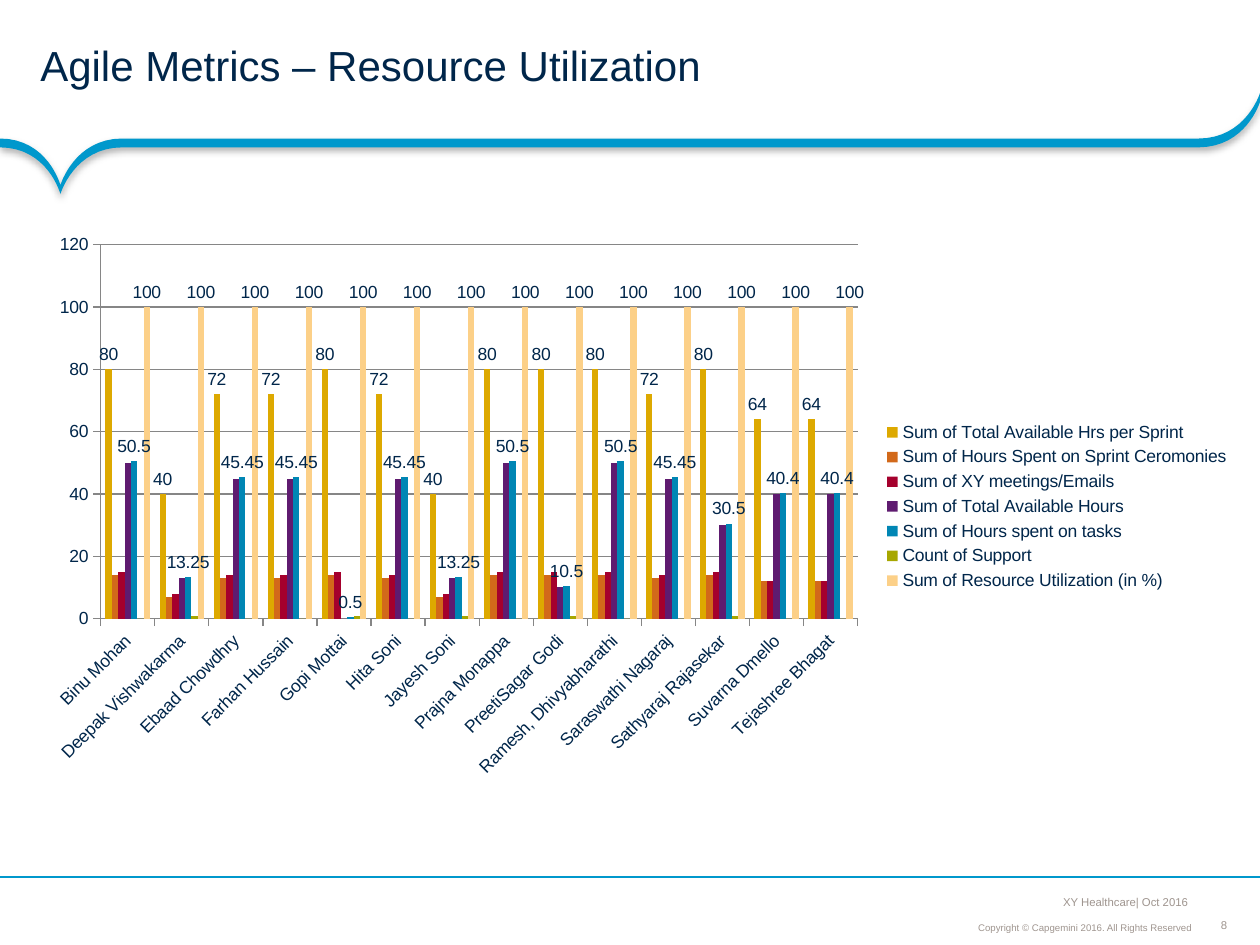
"""Build the Agile Metrics resource utilization slide."""
from lxml import etree
from pptx import Presentation
from pptx.chart.data import CategoryChartData
from pptx.dml.color import RGBColor
from pptx.enum.chart import XL_CHART_TYPE, XL_LABEL_POSITION, XL_LEGEND_POSITION, XL_TICK_MARK
from pptx.enum.shapes import MSO_CONNECTOR
from pptx.enum.text import MSO_ANCHOR, PP_ALIGN
from pptx.oxml import parse_xml
from pptx.oxml.ns import qn
from pptx.util import Inches, Pt

CLUSTERED = XL_CHART_TYPE.COLUMN_CLUSTERED
OUTSIDE_END = XL_LABEL_POSITION.OUTSIDE_END
LEGEND_RIGHT = XL_LEGEND_POSITION.RIGHT
TICK_OUT = XL_TICK_MARK.OUTSIDE
STRAIGHT = MSO_CONNECTOR.STRAIGHT
MIDDLE, BOTTOM = MSO_ANCHOR.MIDDLE, MSO_ANCHOR.BOTTOM
LEFT, CENTER, RIGHT = PP_ALIGN.LEFT, PP_ALIGN.CENTER, PP_ALIGN.RIGHT

FONT = "Arial"
COLORS = {
    "navy": "00264A", "blue": "0098CC", "taupe": "9F958F", "axis": "868686",
    "yellow": "DDA900", "orange": "D2691A", "red": "A5002D", "purple": "5F1B70",
    "teal": "0086B4", "olive": "A7A700", "peach": "FCD088",
}
DRAWING = "http://schemas.openxmlformats.org/drawingml/2006/main"
CHART = "http://schemas.openxmlformats.org/drawingml/2006/chart"


def color(name):
    return RGBColor.from_string(COLORS[name])


def style_font(font, size, name):
    for attribute, value in {"name": FONT, "size": Pt(size), "bold": False}.items():
        setattr(font, attribute, value)
    font.color.rgb = color(name)


presentation = Presentation()
presentation.slide_width, presentation.slide_height = Inches(10), Inches(7.5)
slide = presentation.slides.add_slide(presentation.slide_layouts[6])

ribbon_start = (9.51, 1.1)
ribbon_curves = [
    [(0.97, 1.1)],
    [(0.59, 1.1), (0.48, 1.47), (0.48, 1.47)],
    [(0.48, 1.47), (0.38, 1.1), (0, 1.1)],
    [(0, 1.17)],
    [(0.38, 1.17), (0.48, 1.54), (0.48, 1.54)],
    [(0.48, 1.54), (0.59, 1.17), (0.97, 1.17)],
    [(9.51, 1.17)],
    [(9.89, 1.17), (10, 0.81), (10, 0.81)],
    [(10, 0.74)],
    [(10, 0.74), (9.89, 1.1), ribbon_start],
]
STEPS = 16
ribbon_points = [ribbon_start]
for curve in ribbon_curves:
    if len(curve) == 1:
        ribbon_points += curve
        continue
    corners = [ribbon_points[-1], *curve]
    for step in range(1, STEPS + 1):
        t = step / STEPS
        weights = ((1 - t) ** 3, 3 * t * (1 - t) ** 2, 3 * t ** 2 * (1 - t), t ** 3)
        ribbon_points.append(tuple(
            sum(weight * corner[axis] for weight, corner in zip(weights, corners))
            for axis in (0, 1)))

ribbon_points = [(Inches(x), Inches(y)) for x, y in ribbon_points]
builder = slide.shapes.build_freeform(*ribbon_points[0])
builder.add_line_segments(ribbon_points[1:], close=True)
ribbon = builder.convert_to_shape()
ribbon.shadow.inherit = False
ribbon.fill.solid()
ribbon.fill.fore_color.rgb = color("blue")
ribbon.line.fill.background()
ribbon.element.spPr.find(qn("a:effectLst")).append(parse_xml(
    f'<a:outerShdw xmlns:a="{DRAWING}" blurRad="{Pt(4)}" dist="{Pt(2)}" dir="5400000">'
    '<a:srgbClr val="000000"><a:alpha val="31000"/></a:srgbClr></a:outerShdw>'))

footer_line = slide.shapes.add_connector(STRAIGHT, Inches(10), Inches(6.96), Inches(0), Inches(6.96))
footer_line.line.color.rgb = color("blue")
footer_line.line.width = Pt(0.75)
etree.SubElement(footer_line.element.spPr, qn("a:effectLst"))

texts = [
    ("8", (9.61, 7.29, 0.21, 0.11), 6.5, "taupe", MIDDLE, CENTER, 1, (0, 0, 0, 0)),
    ("Copyright © Capgemini 2016. All Rights Reserved", (6.81, 7.25, 2.69, 0.2),
     5.5, "taupe", BOTTOM, RIGHT, 0.9, (0.04, 0.04, 0.04, 0.04)),
    ("XY Healthcare| Oct 2016", (7.56, 7.04, 1.91, 0.21),
     6.5, "taupe", BOTTOM, RIGHT, 1, (0.04, 0.04, 0.04, 0.04)),
    ("Agile Metrics – Resource Utilization", (0, 0, 10, 1.09),
     24, "navy", MIDDLE, LEFT, 0.85, (0.32, 0.04, 0.18, 0.04)),
]
for text, box, size, color_name, anchor, alignment, spacing, insets in texts:
    frame = slide.shapes.add_textbox(*map(Inches, box)).text_frame
    frame.word_wrap = True
    frame.vertical_anchor = anchor
    for side, inset in zip(("left", "top", "right", "bottom"), insets):
        setattr(frame, f"margin_{side}", Inches(inset))
    paragraph = frame.paragraphs[0]
    paragraph.alignment = alignment
    paragraph.line_spacing = spacing
    run = paragraph.add_run()
    run.text = text
    style_font(run.font, size, color_name)

people = [
    "Binu Mohan", "Deepak Vishwakarma", "Ebaad Chowdhry", "Farhan Hussain", "Gopi Mottai",
    "Hita Soni", "Jayesh Soni", "Prajna Monappa", "PreetiSagar Godi", "Ramesh, Dhivyabharathi",
    "Saraswathi Nagaraj", "Sathyaraj Rajasekar", "Suvarna Dmello", "Tejashree Bhagat",
]
metrics = [
    ("Sum of Total Available Hrs per Sprint", "yellow", True,
     [80, 40, 72, 72, 80, 72, 40, 80, 80, 80, 72, 80, 64, 64]),
    ("Sum of Hours Spent on Sprint Ceromonies", "orange", False,
     [14, 7, 13, 13, 14, 13, 7, 14, 14, 14, 13, 14, 12, 12]),
    ("Sum of XY meetings/Emails", "red", False,
     [15, 8, 14, 14, 15, 14, 8, 15, 15, 15, 14, 15, 12, 12]),
    ("Sum of Total Available Hours", "purple", False,
     [50, 13, 45, 45, 0, 45, 13, 50, 10, 50, 45, 30, 40, 40]),
    ("Sum of Hours spent on tasks", "teal", True,
     [50.5, 13.25, 45.45, 45.45, 0.5, 45.45, 13.25, 50.5, 10.5, 50.5, 45.45, 30.5, 40.4, 40.4]),
    ("Count of Support", "olive", False, [0, 1, 0, 0, 1, 0, 1, 0, 1, 0, 0, 1, 0, 0]),
    ("Sum of Resource Utilization (in %)", "peach", True, [100] * len(people)),
]
chart_data = CategoryChartData()
chart_data.categories = people
for name, _, _, values in metrics:
    chart_data.add_series(name, values)

chart_box = map(Inches, (0.26, 1.78, 9.6, 4.48))
chart = slide.shapes.add_chart(CLUSTERED, *chart_box, chart_data).chart
style_font(chart.font, 10, "navy")
chart.has_title = False
chart.has_legend = True
chart.legend.position = LEGEND_RIGHT
chart.legend.include_in_layout = False

plot = chart.plots[0]
plot.gap_width, plot.overlap = 150, 0
plot.vary_by_categories = False
for series, (_, color_name, labelled, _) in zip(plot.series, metrics):
    series.format.fill.solid()
    series.format.fill.fore_color.rgb = color(color_name)
    series.invert_if_negative = False
    if labelled:
        labels = series.data_labels
        labels.show_value = True
        labels.position = OUTSIDE_END
        style_font(labels.font, 10, "navy")

value_axis, category_axis = chart.value_axis, chart.category_axis
for setting, value in {"minimum_scale": 0, "maximum_scale": 120, "major_unit": 20,
                       "has_major_gridlines": True}.items():
    setattr(value_axis, setting, value)
for axis in (value_axis, category_axis):
    axis.major_tick_mark = TICK_OUT
    style_font(axis.tick_labels.font, 10, "navy")
for styled in (value_axis, category_axis, value_axis.major_gridlines):
    styled.format.line.color.rgb = color("axis")
    styled.format.line.width = Pt(0.75)
category_axis.tick_labels.font._element.getparent().getparent().getparent().find(
    qn("a:bodyPr")).set("rot", "-2700000")

plot_area = chart.element.chart.plotArea
for old_layout in plot_area.findall(qn("c:layout")):
    plot_area.remove(old_layout)
layout = etree.Element(qn("c:layout"), nsmap={"c": CHART})
manual = etree.SubElement(layout, qn("c:manualLayout"))
for tag, value in {"layoutTarget": "inner", "xMode": "edge", "yMode": "edge",
                   "x": 0.0562, "y": 0.0365, "w": 0.6258, "h": 0.6625}.items():
    etree.SubElement(manual, qn(f"c:{tag}")).set("val", str(value))
plot_area.insert(0, layout)

presentation.save("out.pptx")
